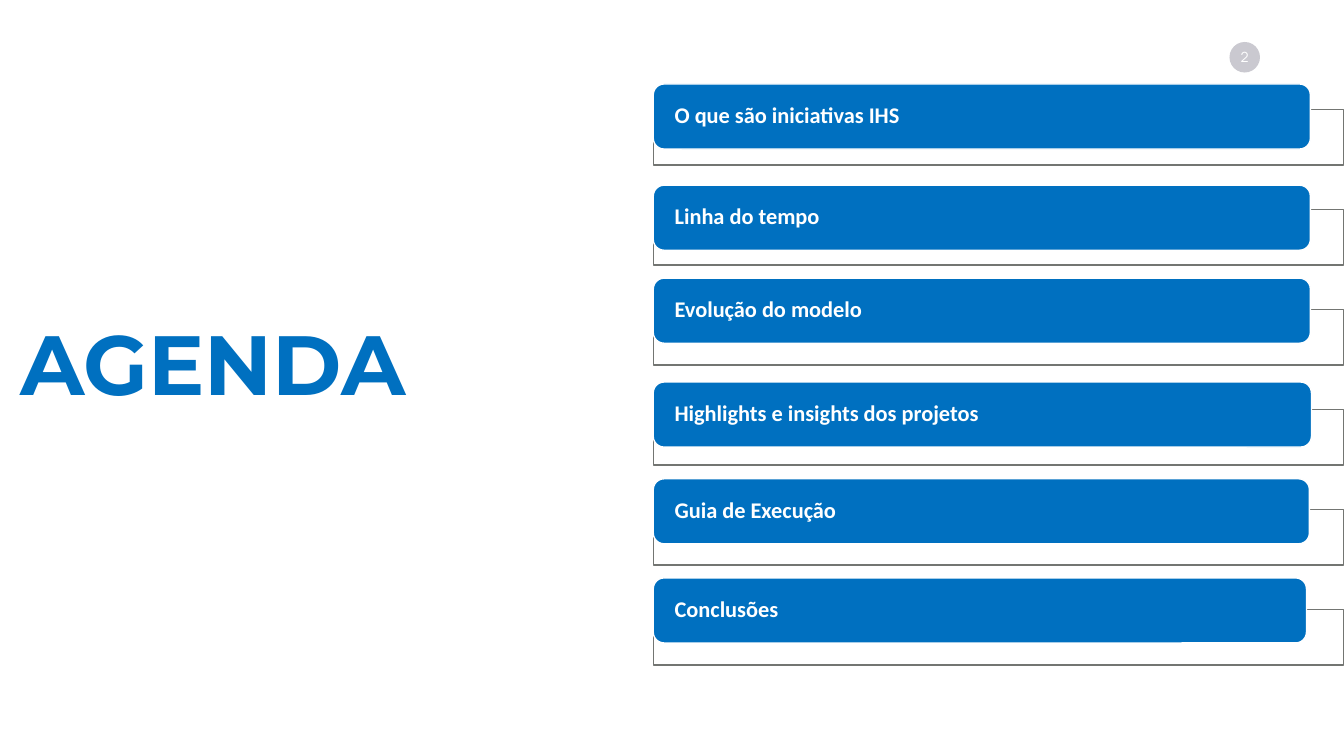
from lxml import etree
from pptx import Presentation
from pptx.dml.color import RGBColor
from pptx.enum.shapes import MSO_SHAPE
from pptx.enum.text import MSO_ANCHOR, PP_ALIGN
from pptx.oxml.ns import qn
from pptx.util import Pt

RECT, ROUNDED, OVAL = MSO_SHAPE.RECTANGLE, MSO_SHAPE.ROUNDED_RECTANGLE, MSO_SHAPE.OVAL
MIDDLE = MSO_ANCHOR.MIDDLE
LEFT, CENTER = PP_ALIGN.LEFT, PP_ALIGN.CENTER

COLORS = {"blue": "0070C0", "white": "FFFFFF", "frame": "737572", "badge": "CAC9D0"}

TOPICS = [
    ("O que são iniciativas IHS", 60, 469.4),
    ("Linha do tempo", 132.3, 469.4),
    ("Evolução do modelo", 198.7, 469.4),
    ("Highlights e insights dos projetos", 272.9, 470.2),
    ("Guia de Execução", 342, 468.7),
    ("Conclusões", 412.8, 466.6),
]
AGENDA_LEFT = 466.6
FRAME_TOP, FRAME_STEP = 78.4, 71.43


class AgendaSlide:
    """Holds the palette and the slide, and draws its elements."""

    def __init__(self, slide, colors):
        self.slide = slide
        self.colors = colors

    def rgb(self, color):
        return RGBColor.from_string(self.colors[color])

    def shape(self, kind, left, top, width, height, fill, line=None, opacity=100):
        shape = self.slide.shapes.add_shape(kind, Pt(left), Pt(top), Pt(width), Pt(height))
        shape.shadow.inherit = False
        shape.fill.solid()
        shape.fill.fore_color.rgb = self.rgb(fill)
        if opacity < 100:
            color = shape.element.spPr.find(qn("a:solidFill"))[0]
            etree.SubElement(color, qn("a:alpha"), val=str(opacity * 1000))
        if line:
            shape.line.color.rgb = self.rgb(line)
            shape.line.width = Pt(1)
        else:
            shape.line.fill.background()
        return shape

    def label(self, holder, text, font, size, color, bold=False,
              align=LEFT, spacing=0.9, insets=(0, 0)):
        frame = holder.text_frame
        frame.word_wrap = True
        frame.vertical_anchor = MIDDLE
        side, edge = insets
        frame.margin_left = frame.margin_right = Pt(side)
        frame.margin_top = frame.margin_bottom = Pt(edge)
        paragraph = frame.paragraphs[0]
        paragraph.alignment = align
        paragraph.line_spacing = spacing
        run = paragraph.add_run()
        run.text = text
        run.font.name = font
        run.font.size = Pt(size)
        run.font.bold = bold
        run.font.color.rgb = self.rgb(color)

    def title(self, text, left, top, width, height):
        heading = self.slide.shapes.add_textbox(Pt(left), Pt(top), Pt(width), Pt(height))
        self.label(heading, text, "Montserrat", 60, "blue", bold=True, insets=(14.4, 7.2))

    def page_badge(self, number, left, top, diameter):
        badge = self.shape(OVAL, left, top, diameter, diameter, "badge")
        self.label(badge, number, "Manrope", 10, "white", align=CENTER, spacing=1.0)

    def topic(self, text, frame_top, bar_top, bar_width):
        self.shape(RECT, AGENDA_LEFT, frame_top, 493.2, 39.6, "white", "frame", opacity=90)
        bar = self.shape(ROUNDED, AGENDA_LEFT, bar_top, bar_width, 46.5, "blue", "white")
        self.label(bar, text, "Calibri", 16, "white", bold=True, insets=(13, 0))


def main():
    deck = Presentation()
    deck.slide_width, deck.slide_height = Pt(960), Pt(540)
    agenda = AgendaSlide(deck.slides.add_slide(deck.slide_layouts[6]), COLORS)
    agenda.page_badge("2", 878.2, 30, 21.8)
    agenda.title("AGENDA", 0, 46.1, 311, 433.4)
    for index, (text, bar_top, bar_width) in enumerate(TOPICS):
        agenda.topic(text, FRAME_TOP + index * FRAME_STEP, bar_top, bar_width)
    deck.save("out.pptx")


if __name__ == "__main__":
    main()
